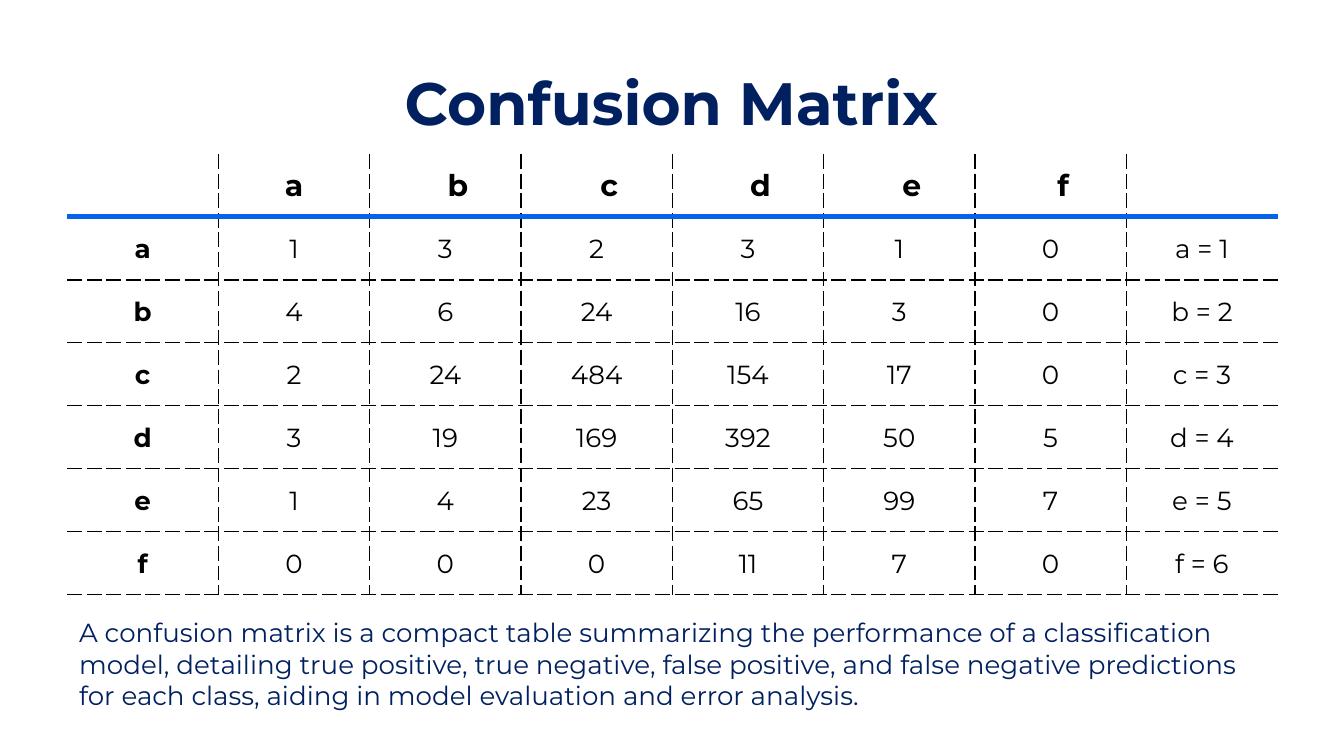
from lxml import etree
from pptx import Presentation
from pptx.dml.color import RGBColor
from pptx.enum.text import MSO_ANCHOR, PP_ALIGN
from pptx.oxml.ns import qn
from pptx.util import Pt

LEFT, CENTER = PP_ALIGN.LEFT, PP_ALIGN.CENTER
TOP, MIDDLE = MSO_ANCHOR.TOP, MSO_ANCHOR.MIDDLE

EMU_PER_PX = 914400 / 134.4
FONT = "Montserrat"
COLORS = {"navy": "002060", "black": "000000", "rule": "0363EB"}

CLASSES = "abcdef"
COUNTS = [
    [1, 3, 2, 3, 1, 0],
    [4, 6, 24, 16, 3, 0],
    [2, 24, 484, 154, 17, 0],
    [3, 19, 169, 392, 50, 5],
    [1, 4, 23, 65, 99, 7],
    [0, 0, 0, 11, 7, 0],
]
SUMMARY = (
    "A confusion matrix is a compact table summarizing the performance of a "
    "classification model, detailing true positive, true negative, false positive, "
    "and false negative predictions for each class, aiding in model evaluation and "
    "error analysis."
)
GRID_LINE = ("black", 0.75, "dash")
HEADER_LINE = ("rule", 3, "solid")
HEADER_INDENT = 26


def px(length):
    return round(length * EMU_PER_PX)


def style_paragraph(para, size, color, bold=False, align=LEFT):
    para.alignment = align
    para.font.name = FONT
    para.font.size = Pt(size)
    para.font.bold = bold
    para.font.color.rgb = RGBColor.from_string(COLORS[color])


def add_text(slide, text, left, top, width, height, size, bold=False,
             align=LEFT, anchor=TOP):
    box = slide.shapes.add_textbox(px(left), px(top), px(width), px(height))
    frame = box.text_frame
    frame.word_wrap = True
    frame.vertical_anchor = anchor
    frame.text = text
    style_paragraph(frame.paragraphs[0], size, "navy", bold, align)


def set_border(cell, side, line):
    """Draw one side (L, R, T or B) of a cell; a line of None leaves it bare."""
    border = etree.SubElement(cell._tc.get_or_add_tcPr(), qn(f"a:ln{side}"))
    if line is None:
        etree.SubElement(border, qn("a:noFill"))
        return
    color, points, dash = line
    border.set("w", str(Pt(points)))
    fill = etree.SubElement(border, qn("a:solidFill"))
    etree.SubElement(fill, qn("a:srgbClr"), val=COLORS[color])
    etree.SubElement(border, qn("a:prstDash"), val=dash)


def style_cell(cell, row, column, last_column):
    set_border(cell, "L", GRID_LINE if column > 0 else None)
    set_border(cell, "R", GRID_LINE if column < last_column else None)
    set_border(cell, "T", {0: None, 1: HEADER_LINE}.get(row, GRID_LINE))
    set_border(cell, "B", HEADER_LINE if row == 0 else GRID_LINE)
    cell.fill.background()
    cell.vertical_anchor = MIDDLE
    indented = row == 0 and 1 < column < last_column
    cell.margin_left = px(HEADER_INDENT if indented else 1)
    cell.margin_right = cell.margin_top = px(1)
    cell.margin_bottom = 0
    style_paragraph(cell.text_frame.paragraphs[0], 16 if row == 0 else 14,
                    "black", row == 0 or column == 0, CENTER)


def matrix_rows():
    header = ["", *CLASSES, ""]
    body = [[name, *map(str, counts), f"{name} = {number}"]
            for number, (name, counts) in enumerate(zip(CLASSES, COUNTS), 1)]
    return [header, *body]


def add_matrix(slide, left, top, width, row_height):
    rows = matrix_rows()
    column_count = len(rows[0])
    table = slide.shapes.add_table(
        len(rows), column_count, px(left), px(top), px(width),
        px(row_height * len(rows))).table
    table.first_row = table.horz_banding = False
    for table_column in table.columns:
        table_column.width = px(width / column_count)
    for row, texts in enumerate(rows):
        table.rows[row].height = px(row_height)
        for column, text in enumerate(texts):
            cell = table.cell(row, column)
            cell.text = text
            style_cell(cell, row, column, column_count - 1)


def main():
    deck = Presentation()
    deck.slide_width, deck.slide_height = px(1344), px(756)
    slide = deck.slides.add_slide(deck.slide_layouts[6])
    add_text(slide, "Confusion Matrix", 66, 61, 1211, 82, 32, True, CENTER, MIDDLE)
    add_matrix(slide, 67, 154, 1211, 63)
    add_text(slide, SUMMARY, 66, 610, 1211, 109, 14)
    deck.save("out.pptx")


if __name__ == "__main__":
    main()
